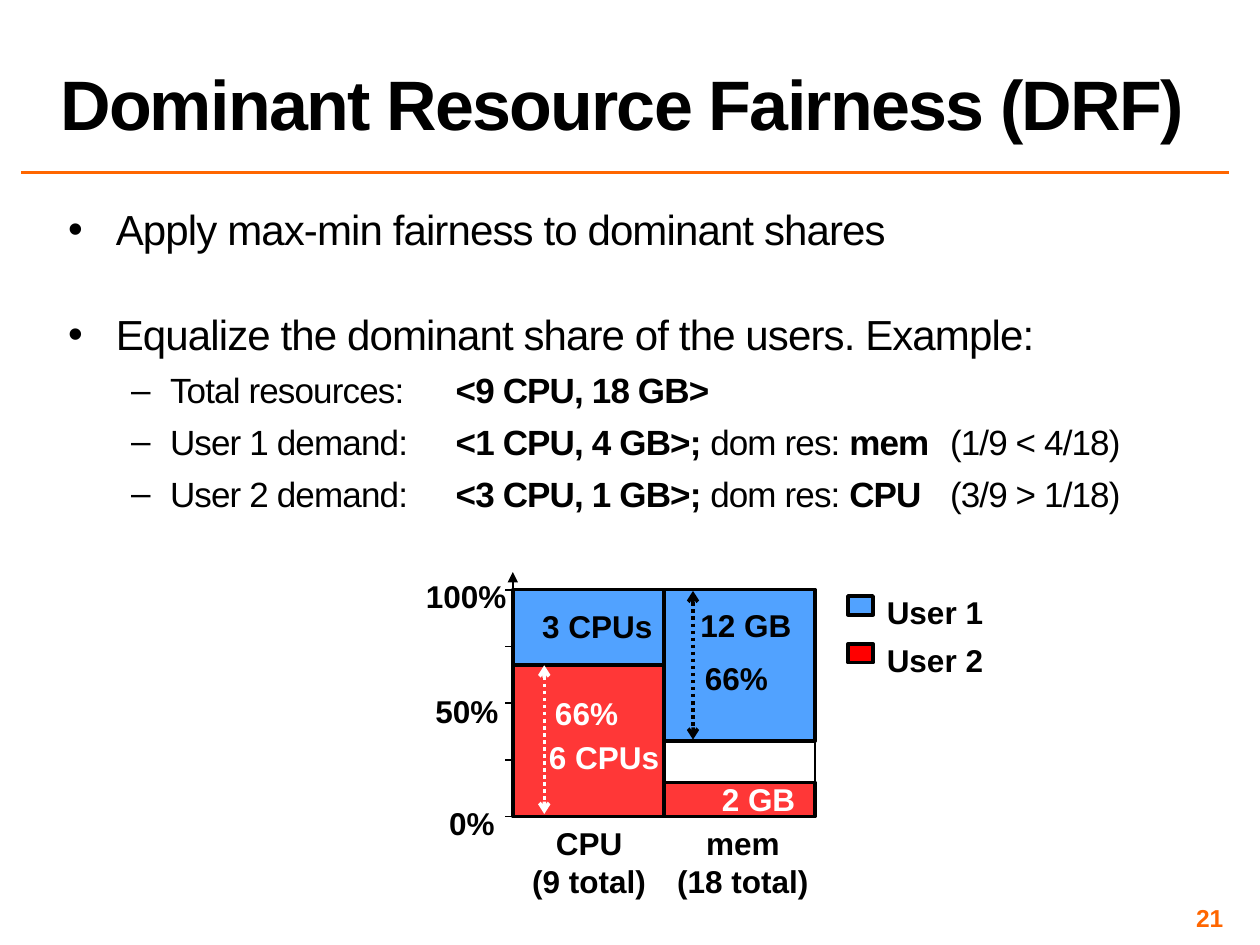
import pptx
import pptx.util
import pptx.dml.color
import pptx.enum.dml
import pptx.enum.shapes
import pptx.enum.text
import pptx.oxml.ns
from lxml import etree

COLORS = {
    "black": "000000",
    "white": "FFFFFF",
    "orange": "FF6600",
    "blue": "51A2FF",
    "red": "FF3737",
    "legend_red": "FF0000",
}
ALIGN = pptx.enum.text.PP_ALIGN
ANCHOR = pptx.enum.text.MSO_ANCHOR
COLUMNS, ROWS = 100, 75


class SlideBuilder:
    font_name = "Arial"
    label_size = 18

    def __init__(self, prs):
        self.slide = prs.slides.add_slide(prs.slide_layouts[6])
        self.column = prs.slide_width / COLUMNS
        self.row = prs.slide_height / ROWS

    def x(self, columns):
        return round(columns * self.column)

    def y(self, rows):
        return round(rows * self.row)

    def frame(self, left, top, width, height):
        return self.x(left), self.y(top), self.x(width), self.y(height)

    def color(self, name):
        return pptx.dml.color.RGBColor.from_string(COLORS[name])

    def child(self, parent, tag, **attributes):
        return etree.SubElement(parent, pptx.oxml.ns.qn(tag), **attributes)

    def style(self, p, size, color="black", bold=None):
        p.font.name = self.font_name
        p.font.size = pptx.util.Pt(size)
        p.font.color.rgb = self.color(color)
        p.font.bold = bold

    def track(self, p, points):
        for r in p.runs:
            r._r.get_or_add_rPr().set("spc", str(round(points * 100)))

    def text(self, frame, lines, size=label_size, color="black", align=ALIGN.CENTER,
             anchor=ANCHOR.TOP, wrap=False, inset=None):
        tf = self.slide.shapes.add_textbox(*self.frame(*frame)).text_frame
        tf.word_wrap = wrap
        tf.vertical_anchor = anchor
        if inset is not None:
            tf.margin_left = tf.margin_right = self.x(inset)
            tf.margin_top = tf.margin_bottom = self.y(inset)
        for i, line in enumerate(lines):
            p = tf.paragraphs[0] if i == 0 else tf.add_paragraph()
            p.add_run().text = line
            p.alignment = align
            self.style(p, size, color, True)
        return tf

    def title(self, frame, title):
        tf = self.text(frame, [title], 40, align=ALIGN.LEFT, anchor=ANCHOR.BOTTOM, wrap=True)
        p = tf.paragraphs[0]
        p.line_spacing = 0.8
        self.track(p, -1)

    def bullets(self, frame, items):
        tf = self.text(frame, [], wrap=True, inset=0.4)
        levels = [("•", 3.8, -3.8, 24), ("–", 8.1, -3.1, 20)]
        for i, (level, before, runs) in enumerate(items):
            p = tf.paragraphs[0] if i == 0 else tf.add_paragraph()
            mark, margin, indent, size = levels[level]
            p.level = level
            pPr = p._p.get_or_add_pPr()
            pPr.set("marL", str(self.x(margin)))
            pPr.set("indent", str(self.x(indent)))
            self.child(pPr, "a:buFont", typeface=self.font_name)
            self.child(pPr, "a:buChar", char=mark)
            p.line_spacing = 0.9
            p.space_before = pptx.util.Pt(before)
            p.space_after = pptx.util.Pt(4)
            self.style(p, size)
            for words, bold in runs:
                r = p.add_run()
                r.text = words
                r.font.bold = bold
            self.track(p, -0.5)

    def rect(self, frame, fill, width=2):
        sp = self.slide.shapes.add_shape(
            pptx.enum.shapes.MSO_SHAPE.RECTANGLE, *self.frame(*frame))
        sp.shadow.inherit = False
        sp.fill.solid()
        sp.fill.fore_color.rgb = self.color(fill)
        sp.line.color.rgb = self.color("black")
        sp.line.width = pptx.util.Pt(width)

    def line(self, start, end, color="black", width=1, dash=None, head=None, tail=None):
        sp = self.slide.shapes.add_connector(
            pptx.enum.shapes.MSO_CONNECTOR.STRAIGHT,
            self.x(start[0]), self.y(start[1]), self.x(end[0]), self.y(end[1]))
        sp.line.color.rgb = self.color(color)
        sp.line.width = pptx.util.Pt(width)
        if dash:
            sp.line.dash_style = dash
        ln = sp.line._get_or_add_ln()
        for tag, kind in (("a:headEnd", head), ("a:tailEnd", tail)):
            if kind:
                self.child(ln, tag, type=kind)
        self.child(sp._element.spPr, "a:effectLst")

    def span(self, x, top, bottom, color):
        self.line((x, top), (x, bottom), color, 2,
                  pptx.enum.dml.MSO_LINE.ROUND_DOT, "arrow", "arrow")


def main():
    prs = pptx.Presentation()
    prs.slide_width = pptx.util.Inches(10)
    prs.slide_height = pptx.util.Inches(7.5)
    s = SlideBuilder(prs)

    s.line((1.7, 13.7), (97.5, 13.7), "orange", 2)
    s.title((3.8, 0.2, 93.7, 11.7), "Dominant Resource Fairness (DRF)")
    s.bullets((5, 16.2, 90, 27.1), [
        (0, 0, [("Apply max-min fairness to dominant shares", False)]),
        (0, 30, [("Equalize the dominant share of the users. Example:", False)]),
        (1, 4, [("Total resources:\t ", False), ("<9 CPU, 18 GB>", True)]),
        (1, 4, [("User 1 demand:\t ", False), ("<1 CPU, 4 GB>; ", True),
                ("dom res: ", False), ("mem", True), ("\t(1/9 < 4/18)", False)]),
        (1, 4, [("User 2 demand:\t ", False), ("<3 CPU, 1 GB>; ", True),
                ("dom res: ", False), ("CPU", True), ("\t(3/9 > 1/18)", False)]),
    ])

    cpu, base, bar, full = 40.7, 64.8, 12, 18
    mem, top = cpu + bar, base - full
    s.rect((mem, top, bar, full), "white", 1)
    for left, low, share, fill in [
        (cpu, 0, 2 / 3, "red"),
        (mem, 0, 0.15, "red"),
        (cpu, 2 / 3, 1 / 3, "blue"),
        (mem, 1 / 3, 2 / 3, "blue"),
    ]:
        s.rect((left, base - (low + share) * full, bar, share * full), fill)

    for i, (user, fill) in enumerate([("User 1", "blue"), ("User 2", "legend_red")]):
        offset = i * 3.8
        s.rect((67.3, 47.3 + offset, 2, 1.5), fill)
        s.text((69.3, 46.6 + offset, 9.8, 4), [user])

    s.line((cpu, base), (cpu, 45.4), tail="triangle")
    for i in range(5):
        tick = base - i * full / 4
        s.line((cpu, tick), (cpu - 0.6, tick))

    s.span(43.2, 52.8, 64.6, "white")
    s.span(55, 46.9, 58.7, "black")

    for frame, lines, color in [
        ((32.6, 45.3, 8.8, 4), ["100%"], "black"),
        ((33.4, 54.4, 7.3, 4), ["50%"], "black"),
        ((34.6, 63.3, 5.7, 4), ["0%"], "black"),
        ((40.9, 64.9, 11.7, 7.1), ["CPU", "(9 total)"], "black"),
        ((52.2, 64.9, 13.5, 7.1), ["mem", "(18 total)"], "black"),
        ((41.4, 47.7, 12, 4), ["3 CPUs"], "black"),
        ((53.2, 47.6, 12, 4), ["12 GB"], "black"),
        ((42.1, 58.1, 11.7, 4), ["6 CPUs"], "white"),
        ((54.1, 61.4, 12.2, 4), ["2 GB"], "white"),
        ((42.9, 54.6, 7.3, 4), ["66%"], "white"),
        ((54.8, 51.8, 7.3, 4), ["66%"], "black"),
    ]:
        s.text(frame, lines, color=color)

    s.text((74.2, 71.7, 23.3, 2.3), ["21"], 14, "orange", ALIGN.RIGHT,
           ANCHOR.MIDDLE, True, 0.4)
    prs.save("out.pptx")


if __name__ == "__main__":
    main()
